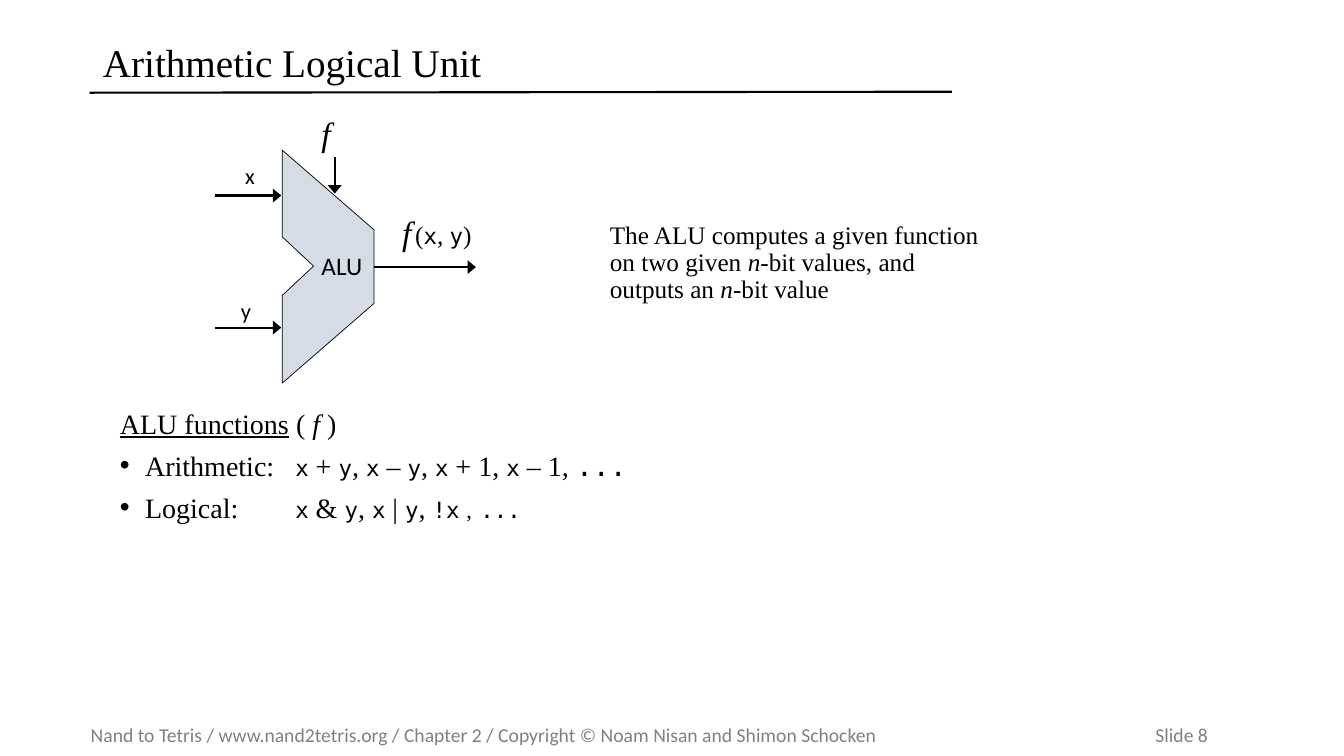
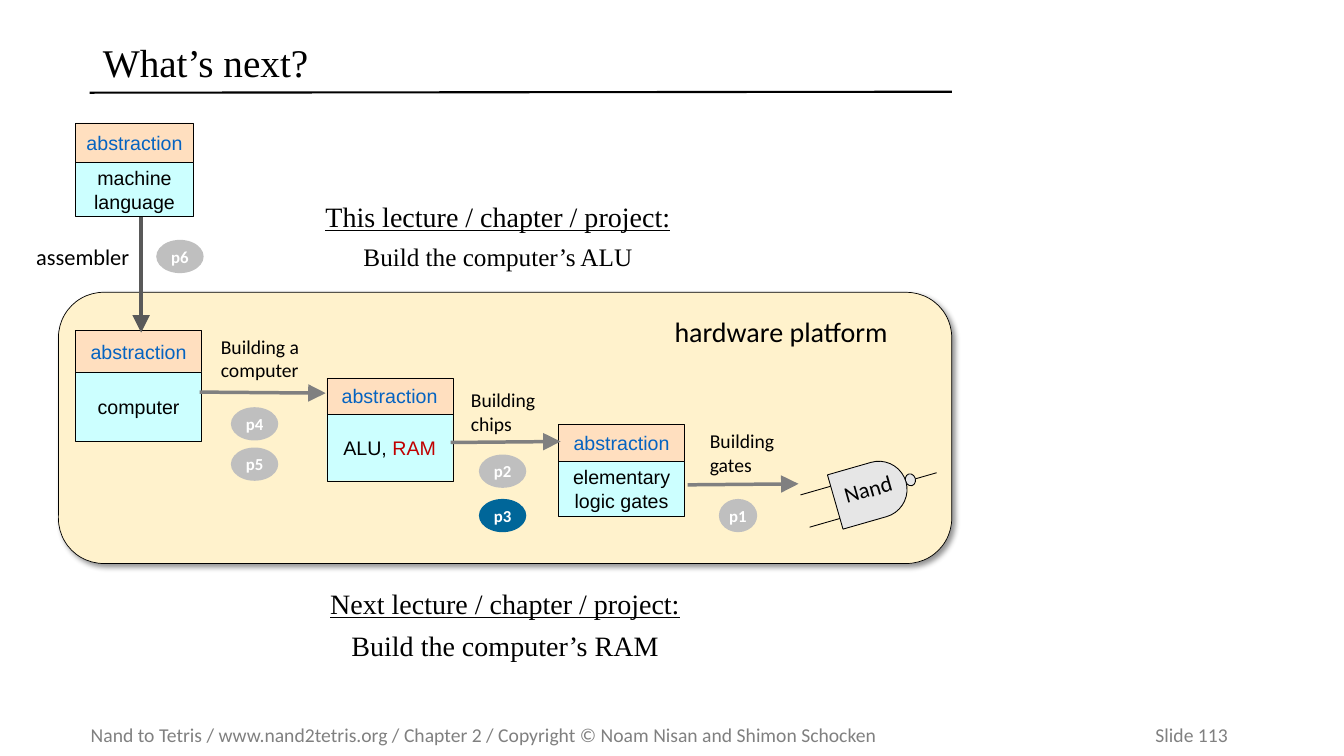
"""Build two lecture slides on the arithmetic logical unit."""
import math
from itertools import groupby

from lxml import etree
from pptx import Presentation
from pptx.dml.color import RGBColor
from pptx.enum.shapes import MSO_CONNECTOR, MSO_SHAPE
from pptx.enum.text import MSO_ANCHOR, PP_ALIGN
from pptx.oxml.ns import qn
from pptx.util import Inches, Pt

RECTANGLE = MSO_SHAPE.RECTANGLE
ROUNDED = MSO_SHAPE.ROUNDED_RECTANGLE
OVAL = MSO_SHAPE.OVAL
STRAIGHT = MSO_CONNECTOR.STRAIGHT
LEFT, CENTER = PP_ALIGN.LEFT, PP_ALIGN.CENTER
TOP, MIDDLE = MSO_ANCHOR.TOP, MSO_ANCHOR.MIDDLE

COLORS = {
    "black": "000000",
    "white": "FFFFFF",
    "footer": "808080",
    "alu": "D6DCE5",
    "platform": "FFF2CC",
    "abstraction": "FFDFBF",
    "implementation": "CCFFFF",
    "link": "0563C1",
    "red": "C00000",
    "arrow": "808080",
    "assembler": "595959",
    "gate": "E6E6E6",
    "project": "BFBFBF",
    "current": "006699",
}
SERIF, SANS, ARIAL = "Times New Roman", "Calibri", "Arial"
MONO = {"font": "DejaVu Sans Mono", "size": 16}
ITALIC = {"italic": True}
FOOTER = ("Nand to Tetris / www.nand2tetris.org / Chapter 2 / "
          "Copyright © Noam Nisan and Shimon Schocken")
GATE_ANGLE = 344


def rgb(name):
    """Return the named colour."""
    return RGBColor.from_string(COLORS[name])


def add_run(paragraph, text, font=SERIF, size=18, color="black", bold=False,
            italic=False, underline=False, spacing=0):
    """Add one formatted run to a paragraph."""
    run = paragraph.add_run()
    run.text = text
    run.font.name = font
    run.font.size = Pt(size)
    run.font.color.rgb = rgb(color)
    run.font.bold = bold
    run.font.italic = italic
    run.font.underline = underline
    if spacing:
        run.font._element.set("spc", str(spacing * 100))


def add_tab_stop(paragraph, position):
    """Give a paragraph one left tab stop."""
    tabs = etree.SubElement(paragraph._p.get_or_add_pPr(), qn("a:tabLst"))
    etree.SubElement(tabs, qn("a:tab"), pos=str(Inches(position)), algn="l")


def add_bullet(paragraph, indent):
    """Give a paragraph a hanging round bullet."""
    properties = paragraph._p.get_or_add_pPr()
    properties.set("marL", str(Inches(indent)))
    properties.set("indent", str(-Inches(indent)))
    etree.SubElement(properties, qn("a:buFont"), typeface=ARIAL)
    etree.SubElement(properties, qn("a:buChar"), char="•")


def write(shape, paragraphs, align=LEFT, anchor=TOP, inset=(0.1, 0.05),
          line_spacing=None, space_before=0, bullets_from=None, tab=None,
          **run_format):
    """Fill a shape with paragraphs, each a string or a list of runs."""
    frame = shape.text_frame
    frame.word_wrap = True
    frame.vertical_anchor = anchor
    frame.margin_left = frame.margin_right = Inches(inset[0])
    frame.margin_top = frame.margin_bottom = Inches(inset[1])
    for index, runs in enumerate(paragraphs):
        paragraph = frame.add_paragraph() if index else frame.paragraphs[0]
        if bullets_from is not None and index >= bullets_from:
            add_bullet(paragraph, 0.25)
        if tab:
            add_tab_stop(paragraph, tab)
        paragraph.alignment = align
        if line_spacing:
            paragraph.line_spacing = line_spacing
        if index and space_before:
            paragraph.space_before = Pt(space_before)
        for run in [runs] if isinstance(runs, str) else runs:
            text, changes = (run, {}) if isinstance(run, str) else run
            add_run(paragraph, text, **{**run_format, **changes})


def add_text(slide, box, *paragraphs, rotation=0, **text_format):
    """Add a text box."""
    shape = slide.shapes.add_textbox(*map(Inches, box))
    shape.rotation = rotation
    write(shape, paragraphs, **text_format)


def paint(shape, fill, line_width=None):
    """Set fill and outline, without shadow."""
    shape.shadow.inherit = False
    shape.fill.solid()
    shape.fill.fore_color.rgb = rgb(fill)
    if line_width:
        shape.line.color.rgb = rgb("black")
        shape.line.width = Pt(line_width)
    else:
        shape.line.fill.background()


def add_shape(slide, kind, box, fill, line_width=None):
    """Add a painted preset shape."""
    shape = slide.shapes.add_shape(kind, *map(Inches, box))
    paint(shape, fill, line_width)
    return shape


def add_outline(slide, points, fill, line_width):
    """Add a closed polygon through points in inches."""
    first, *others = [(Inches(x), Inches(y)) for x, y in points]
    builder = slide.shapes.build_freeform(*first)
    builder.add_line_segments(others, close=True)
    shape = builder.convert_to_shape()
    paint(shape, fill, line_width)
    return shape


def add_line(slide, start, end, color="black", width=1.5, head=None):
    """Add a straight line, with an arrowhead of the given length."""
    line = slide.shapes.add_connector(STRAIGHT, *map(Inches, start + end))
    line.line.color.rgb = rgb(color)
    line.line.width = Pt(width)
    properties = line._element.spPr
    if head:
        etree.SubElement(properties.find(qn("a:ln")), qn("a:tailEnd"),
                         type="triangle", w="lg", len=head)
    etree.SubElement(properties, qn("a:effectLst"))


def add_shadow(shape):
    """Give a shape a soft shadow to the lower right."""
    properties = shape._element.spPr
    effects = properties.find(qn("a:effectLst"))
    shadow = etree.SubElement(
        effects, qn("a:outerShdw"), blurRad=str(Pt(4)), dist=str(Pt(3)),
        dir=str(45 * 60000), algn="tl", rotWithShape="0")
    color = etree.SubElement(shadow, qn("a:srgbClr"), val=COLORS["black"])
    etree.SubElement(color, qn("a:alpha"), val="43000")


def add_slide(presentation, title, number):
    """Add a slide with title, rule and footer."""
    slide = presentation.slides.add_slide(presentation.slide_layouts[5])
    add_text(slide, (0.9, 7.12, 12.25, 0.34), f"{FOOTER}\tSlide {number}",
             tab=10.56, anchor=MIDDLE, inset=(0, 0.05), font=SANS, size=14,
             color="footer")
    add_line(slide, (0.89, 0.92), (9.44, 0.91))
    heading = slide.shapes.title
    heading.left, heading.top = Inches(0.92), Inches(0.33)
    heading.width, heading.height = Inches(8.53), Inches(0.63)
    write(heading, [title], anchor=MIDDLE, line_spacing=0.9, size=28)
    return slide


def expression(text):
    """Split a formula into runs, with its operands in monospace."""
    return [("".join(part), MONO if operand else {})
            for operand, part in groupby(text, lambda mark: mark in "xy!")]


def add_card(slide, left, top, width, head, body, content):
    """Add an abstraction box on top of its implementation box."""
    parts = [(top, head, "abstraction", ["abstraction"], "link"),
             (top + head, body, "implementation", content, "black")]
    for part_top, height, fill, runs, color in parts:
        shape = add_shape(slide, RECTANGLE, (left, part_top, width, height),
                          fill, 0.25)
        write(shape, [runs], align=CENTER, anchor=MIDDLE, inset=(0.04, 0.05),
              font=ARIAL, size=14, color=color)


def add_project(slide, name, left, top, width=0.47, fill="project"):
    """Add an oval project badge."""
    badge = add_shape(slide, OVAL, (left, top, width, 0.33), fill)
    write(badge, [name], align=CENTER, anchor=MIDDLE, inset=(0, 0), font=SANS,
          size=12, color="white", bold=True)


def add_lecture(slide, box, heading, goal, goal_size):
    """Add an underlined lecture heading over its goal."""
    add_text(slide, box, [(heading, {"underline": True})],
             [(goal, {"size": goal_size})], align=CENTER, space_before=6,
             size=20)


def add_gate(slide):
    """Add the tilted Nand gate with its leads."""
    for start, end in [((7.94, 4.91), (8.74, 4.68)),
                       ((8.03, 5.23), (8.83, 5)),
                       ((9.29, 4.69), (8.49, 4.92))]:
        add_line(slide, start, end, width=0.63)
    bubble = add_shape(slide, OVAL, (8.98, 4.7, 0.1, 0.12), "gate", 0.63)
    left, center_x, center_y, radius = 8.27, 8.72, 4.88, 0.28
    angles = [math.radians(degrees) for degrees in range(-90, 91, 10)]
    arc = [(center_x + radius * math.cos(angle),
            center_y + radius * math.sin(angle)) for angle in angles]
    corners = [(left, center_y + radius), (left, center_y - radius)]
    body = add_outline(slide, corners + arc, "gate", 0.63)
    bubble.rotation = body.rotation = GATE_ANGLE
    add_text(slide, (8.36, 4.71, 0.52, 0.23), "Nand", rotation=GATE_ANGLE,
             inset=(0, 0), font=SANS, size=16)


def build_alu(presentation):
    """Build the slide that explains the ALU."""
    slide = add_slide(presentation, "Arithmetic Logical Unit", 8)
    add_outline(slide, [(2.8, 1.49), (3.71, 2.28), (3.71, 3.01), (2.8, 3.8),
                        (2.8, 2.93), (3.11, 2.64), (2.8, 2.35)], "alu", 0.5)
    add_text(slide, (3.09, 2.43, 0.64, 0.4), "ALU", font=SANS)
    for left, top in [(3.89, 2.05), (3.09, 1.07)]:
        add_text(slide, (left, top, 0.56, 0.5), "f", size=24, italic=True)
    add_text(slide, (4.02, 2.13, 2.23, 0.4), expression("(x, y)"))
    for name, left, top in [("x", 1.98, 1.56), ("y", 1.94, 2.9)]:
        add_text(slide, (left, top, 1, 0.37), name, align=CENTER, font=SANS,
                 size=16)
    for start, end in [((2.13, 1.94), (2.79, 1.94)),
                       ((2.13, 3.25), (2.79, 3.25)),
                       ((3.32, 1.56), (3.32, 1.92)),
                       ((3.71, 2.65), (4.72, 2.65))]:
        add_line(slide, start, end, head="med")
    add_text(slide, (5.95, 2.16, 3.88, 1.44),
             ["The ALU computes a given function on two given ",
              ("n", ITALIC), "-bit values, and outputs an ", ("n", ITALIC),
              "-bit value"], line_spacing=0.9)
    spaced = {"spacing": 5}
    add_text(slide, (1.09, 3.98, 8.28, 1.6),
             [("ALU functions", {"underline": True}), " ", ("(", spaced),
              ("f", {**ITALIC, **spaced}), (")", spaced)],
             ["Arithmetic:\t", *expression("x + y, x – y, x + 1, x – 1, "),
              ("...", {**MONO, "size": 20})],
             ["Logical:\t", *expression("x & y, x | y, !x"),
              (" , ", {"size": 16, "spacing": 1}), ("...", MONO)],
             size=20, space_before=6, bullets_from=1, tab=1.74)


def build_next(presentation):
    """Build the slide that places the ALU in the course."""
    slide = add_slide(presentation, "What’s next?", 113)
    platform = add_shape(slide, ROUNDED, (0.58, 2.9, 8.86, 2.69), "platform",
                         0.5)
    add_shadow(platform)
    add_text(slide, (6.69, 3.12, 2.3, 0.34), "hardware platform",
             inset=(0, 0), font=SANS, size=20)
    for card in [(0.75, 1.22, 1.17, 0.39, 0.54, ["machine language"]),
                 (0.75, 3.28, 1.25, 0.41, 0.69, ["computer"]),
                 (3.24, 3.75, 1.25, 0.36, 0.66,
                  ["ALU, ", ("RAM", {"color": "red"})]),
                 (5.54, 4.21, 1.25, 0.37, 0.54, ["elementary logic gates"])]:
        add_card(slide, *card)
    add_gate(slide)
    for text, left, top in [("Building a computer", 2.19, 3.32),
                            ("Building chips", 4.67, 3.85),
                            ("Building gates", 7.04, 4.26)]:
        add_text(slide, (left, top, 0.85, 0.47), text, inset=(0, 0),
                 font=SANS, size=14)
    for start, end in [((1.98, 3.89), (3.23, 3.9)),
                       ((4.47, 4.39), (5.56, 4.38)),
                       ((6.82, 4.81), (7.92, 4.8))]:
        add_line(slide, start, end, "arrow", 2.5, head="lg")
    add_line(slide, (1.4, 2.15), (1.4, 3.3), "assembler", 2.5, head="lg")
    add_text(slide, (0.36, 2.41, 1.04, 0.27), "assembler", inset=(0, 0),
             font=SANS, size=16)
    add_project(slide, "p1", 7.13, 4.95, width=0.38)
    add_project(slide, "p3", 4.75, 4.95, fill="current")
    for name, left, top in [("p2", 4.75, 4.51), ("p4", 2.29, 4.04),
                            ("p5", 2.29, 4.44), ("p6", 1.55, 2.38)]:
        add_project(slide, name, left, top)
    add_lecture(slide, (2.47, 5.77, 5.08, 0.89),
                "Next lecture / chapter / project:",
                "Build the computer’s RAM", 20)
    add_lecture(slide, (2.21, 1.93, 5.46, 0.89),
                "This lecture / chapter / project:",
                "Build the computer’s ALU", 18)


def main():
    """Build and save the presentation."""
    presentation = Presentation()
    presentation.slide_width = Inches(13.33)
    presentation.slide_height = Inches(7.5)
    build_alu(presentation)
    build_next(presentation)
    presentation.save("out.pptx")


if __name__ == "__main__":
    main()
